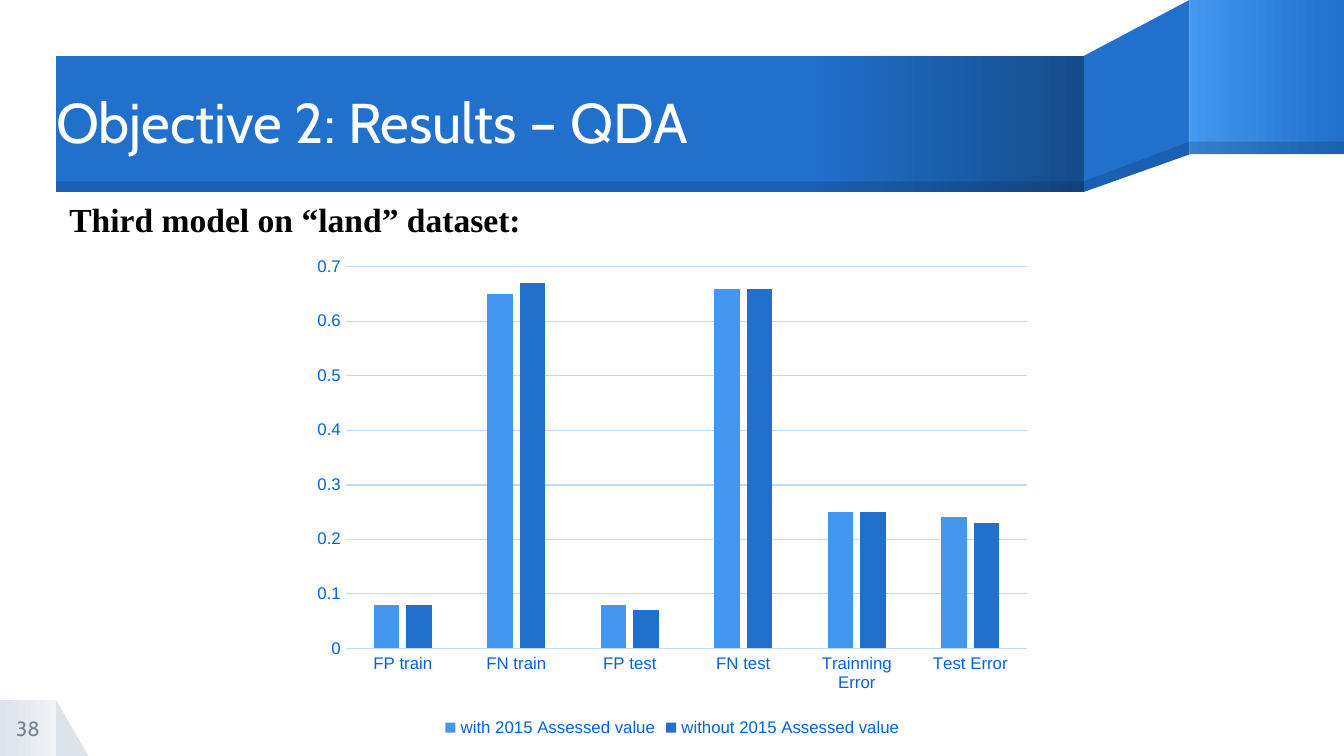
import copy
from dataclasses import dataclass

import lxml.etree
import pptx
import pptx.chart.data
import pptx.dml.color
import pptx.enum.chart
import pptx.enum.shapes
import pptx.enum.text
import pptx.oxml.ns
import pptx.util

Cm, Pt = pptx.util.Cm, pptx.util.Pt
Shape = pptx.enum.shapes.MSO_SHAPE
qn = pptx.oxml.ns.qn


@dataclass(frozen=True)
class Theme:
    blue: str = "2170CC"
    light_blue: str = "4397EE"
    deep_blue: str = "154C8A"
    shade: str = "001F46"
    shade_percent: int = 20
    corner: str = "DDE3EB"
    corner_light: str = "F0F3F7"
    number: str = "748394"
    chart_text: str = "0063E0"
    grid: str = "BDDAFF"
    white: str = "FFFFFF"
    black: str = "000000"
    heading_font: str = "Cabin"
    body_font: str = "Times New Roman"
    chart_font: str = "Arial"
    title_size: int = 30
    body_size: int = 18
    number_size: int = 11
    chart_size: int = 9


THEME = Theme()


@dataclass(frozen=True)
class Box:
    """A region of the slide, in centimetres."""
    left: float
    top: float
    width: float
    height: float

    @property
    def right(self):
        return self.left + self.width

    @property
    def bottom(self):
        return self.top + self.height

    @property
    def lengths(self):
        return [Cm(n) for n in (self.left, self.top, self.width, self.height)]

    def bottom_strip(self, height):
        return Box(self.left, self.bottom - height, self.width, height)


def rgb(code):
    return pptx.dml.color.RGBColor.from_string(code)


def fill_solid(shape, color, percent=100):
    shape.shadow.inherit = False
    shape.line.fill.background()
    shape.fill.solid()
    shape.fill.fore_color.rgb = rgb(color)
    if percent < 100:
        target = next(shape.element.spPr.iter(qn("a:srgbClr")))
        lxml.etree.SubElement(target, qn("a:alpha")).set("val", str(percent * 1000))


def fill_gradient(shape, *stops):
    """Fill from left to right with (position, color) stops."""
    shape.shadow.inherit = False
    shape.line.fill.background()
    shape.fill.gradient()
    shape.fill.gradient_angle = 0
    stop_list = next(shape.element.spPr.iter(qn("a:gsLst")))
    while len(stop_list) < len(stops):
        stop_list.append(copy.deepcopy(stop_list[-1]))
    for stop, (position, color) in zip(shape.fill.gradient_stops, stops):
        stop.position = position
        stop.color.rgb = rgb(color)


def add_block(page, box, kind=Shape.RECTANGLE):
    return page.shapes.add_shape(kind, *box.lengths)


def add_outline(page, points):
    start, *others = [(Cm(x), Cm(y)) for x, y in points]
    builder = page.shapes.build_freeform(*start)
    builder.add_line_segments(others, close=True)
    return builder.convert_to_shape()


def write(frame, text, font, size, color, bold=False):
    para = frame.paragraphs[0]
    span = para.add_run()
    span.text = text
    span.font.name = font
    span.font.size = Pt(size)
    span.font.bold = bold
    span.font.color.rgb = rgb(color)
    return para


def clear_margins(frame):
    frame.margin_left = frame.margin_right = frame.margin_top = frame.margin_bottom = 0
    frame.vertical_anchor = pptx.enum.text.MSO_ANCHOR.MIDDLE
    frame.word_wrap = True


def add_ribbon(page, banner, panel):
    """Draw the banner, the raised panel and the fold joining them."""
    banner_shade, panel_shade = banner.bottom_strip(0.2), panel.bottom_strip(0.24)
    fold = add_outline(page, [(panel.left, panel.top), (banner.right, banner.top),
                              (banner.right, banner.bottom), (panel.left, panel.bottom)])
    fill_solid(fold, THEME.blue)
    fill_gradient(add_block(page, panel), (0, THEME.light_blue), (1, THEME.blue))
    fill_gradient(add_block(page, banner),
                  (0, THEME.blue), (0.73, THEME.blue), (1, THEME.deep_blue))
    fold_shade = add_outline(page, [(panel.left, panel_shade.top),
                                    (banner.right, banner_shade.top),
                                    (banner.right, banner.bottom),
                                    (panel.left, panel.bottom)])
    for shape in (fold_shade, add_block(page, panel_shade), add_block(page, banner_shade)):
        fill_solid(shape, THEME.shade, THEME.shade_percent)


def add_page_number(page, box, number):
    flap = Box(box.right, box.top, 0.61, box.height)
    fill_solid(add_block(page, flap, Shape.RIGHT_TRIANGLE), THEME.corner)
    fill_gradient(add_block(page, box), (0, THEME.corner), (1, THEME.corner_light))
    frame = page.shapes.add_textbox(*box.lengths).text_frame
    clear_margins(frame)
    para = write(frame, number, THEME.heading_font, THEME.number_size, THEME.number)
    para.alignment = pptx.enum.text.PP_ALIGN.CENTER


def place_title(page, box, text):
    title = page.shapes.title
    title.left, title.top, title.width, title.height = box.lengths
    clear_margins(title.text_frame)
    title.text_frame.auto_size = pptx.enum.text.MSO_AUTO_SIZE.NONE
    para = write(title.text_frame, text, THEME.heading_font, THEME.title_size, THEME.white)
    para.alignment = pptx.enum.text.PP_ALIGN.LEFT
    para.line_spacing = 0.9
    title.element.getparent().append(title.element)  # in front of the ribbon


def add_subtitle(page, box, text):
    frame = page.shapes.add_textbox(*box.lengths).text_frame
    frame.word_wrap = True
    frame.auto_size = pptx.enum.text.MSO_AUTO_SIZE.SHAPE_TO_FIT_TEXT
    write(frame, text, THEME.body_font, THEME.body_size, THEME.black, bold=True)


def add_error_chart(page, box):
    data = pptx.chart.data.CategoryChartData()
    data.categories = ["FP train", "FN train", "FP test", "FN test",
                       "Trainning Error", "Test Error"]
    data.add_series("with 2015 Assessed value", (0.08, 0.65, 0.08, 0.66, 0.25, 0.24))
    data.add_series("without 2015 Assessed value", (0.08, 0.67, 0.07, 0.66, 0.25, 0.23))
    chart = page.shapes.add_chart(
        pptx.enum.chart.XL_CHART_TYPE.COLUMN_CLUSTERED, *box.lengths, data).chart
    chart.has_title = False
    chart.font.name = THEME.chart_font
    chart.font.size = Pt(THEME.chart_size)
    chart.font.color.rgb = rgb(THEME.chart_text)

    plot = chart.plots[0]
    plot.gap_width, plot.overlap, plot.vary_by_categories = 219, -27, False
    for series, color in zip(plot.series, (THEME.light_blue, THEME.blue)):
        series.format.fill.solid()
        series.format.fill.fore_color.rgb = rgb(color)

    values, categories = chart.value_axis, chart.category_axis
    for axis in (values, categories):
        axis.major_tick_mark = axis.minor_tick_mark = pptx.enum.chart.XL_TICK_MARK.NONE
    values.minimum_scale, values.maximum_scale, values.major_unit = 0, 0.7, 0.1
    values.format.line.fill.background()
    for line in (values.major_gridlines.format.line, categories.format.line):
        line.color.rgb = rgb(THEME.grid)
        line.width = Pt(0.75)

    chart.has_legend = True
    chart.legend.position = pptx.enum.chart.XL_LEGEND_POSITION.BOTTOM
    chart.legend.include_in_layout = False


def main():
    deck = pptx.Presentation()
    deck.slide_width, deck.slide_height = Cm(25.4), Cm(14.29)
    page = deck.slides.add_slide(deck.slide_layouts.get_by_name("Title Only"))
    add_page_number(page, Box(0, 13.23, 1.06, 1.06), "38")
    add_ribbon(page, Box(1.06, 1.06, 19.42, 2.57), Box(22.48, 0, 2.92, 2.92))
    place_title(page, Box(1.06, 1.09, 21.11, 2.57), "Objective 2: Results – QDA")
    add_subtitle(page, Box(1.06, 3.63, 11.91, 1.02), "Third model on “land” dataset:")
    add_error_chart(page, Box(5.72, 4.67, 13.97, 9.37))
    deck.save("out.pptx")


if __name__ == "__main__":
    main()
